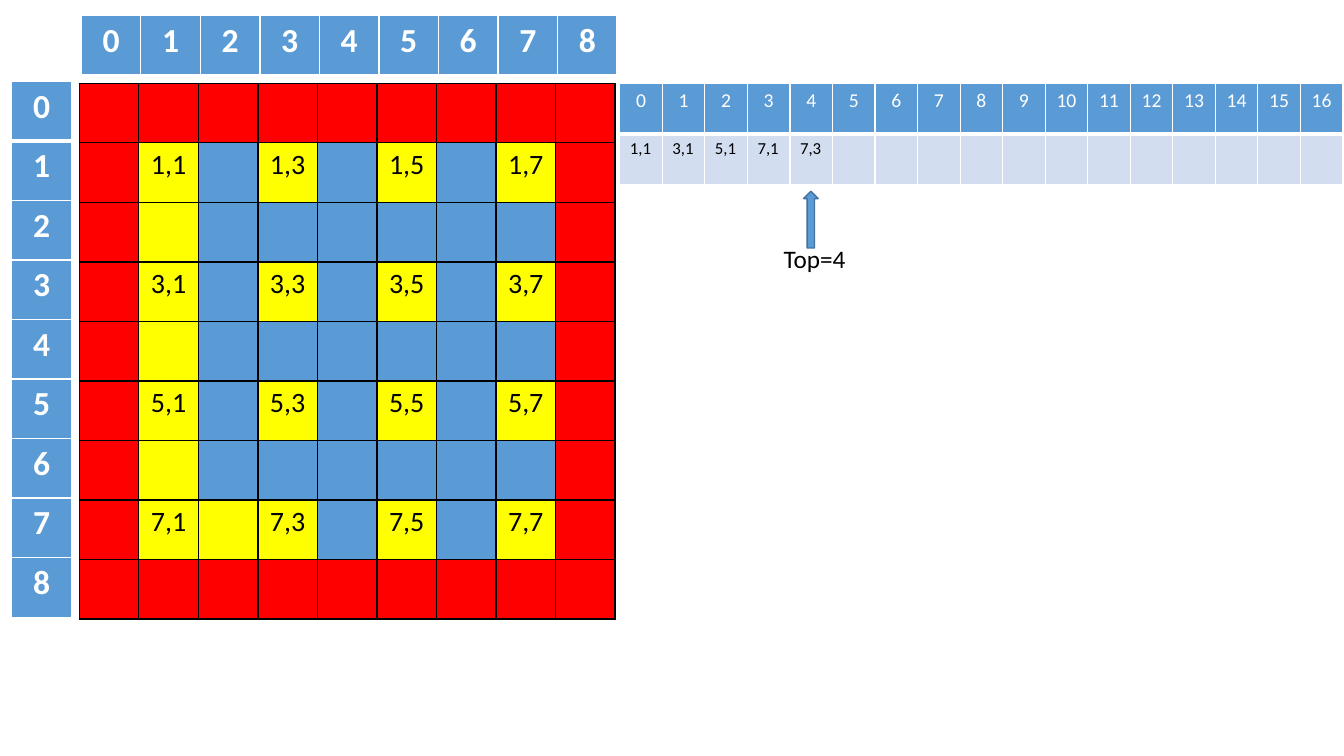
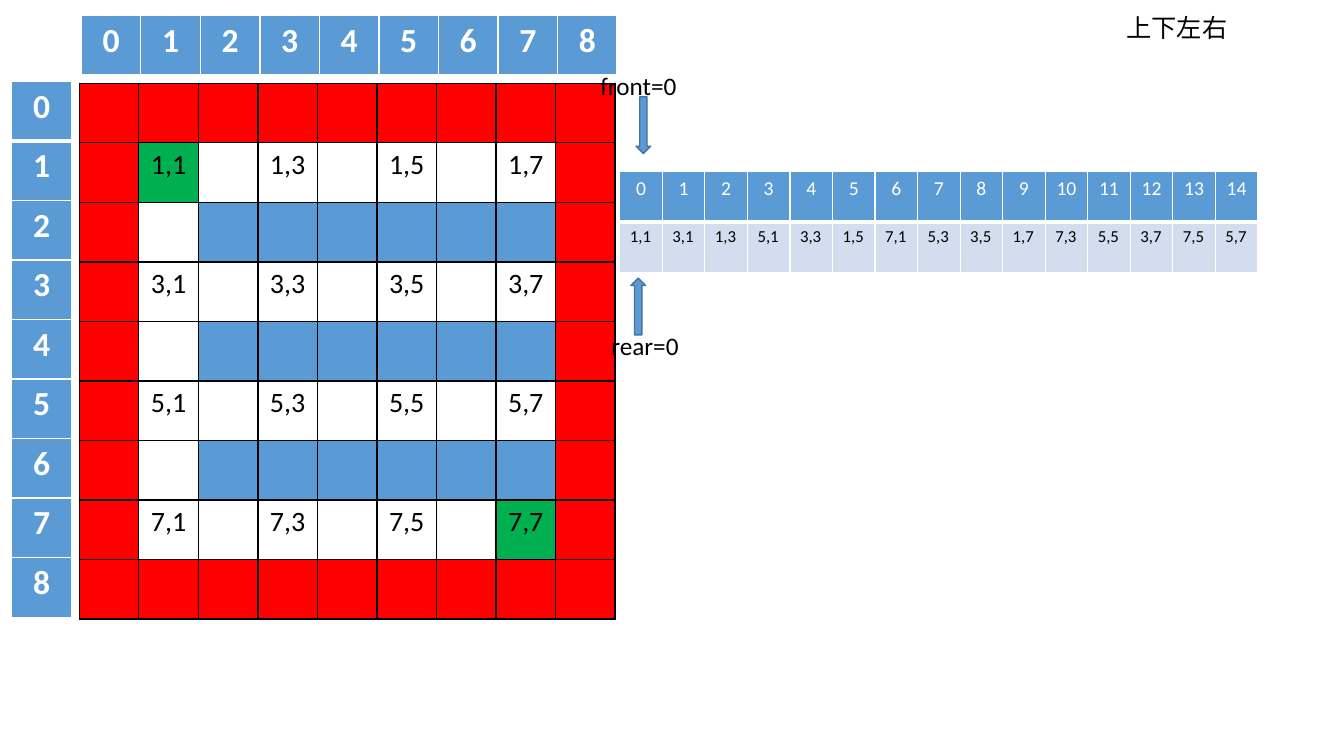
from lxml.etree import SubElement
from pptx import Presentation
from pptx.dml.color import RGBColor
from pptx.enum.shapes import MSO_SHAPE
from pptx.enum.text import MSO_AUTO_SIZE, PP_ALIGN
from pptx.oxml.ns import qn
from pptx.util import Cm, Pt

FONT = "Calibri"
RED = RGBColor(0xFF, 0x00, 0x00)
YELLOW = RGBColor(0xFF, 0xFF, 0x00)
GREEN = RGBColor(0x00, 0xB0, 0x50)
BLUE = RGBColor(0x5B, 0x9B, 0xD5)
DARK_BLUE = RGBColor(0x43, 0x73, 0x9E)
PALE_BLUE = RGBColor(0xD2, 0xDE, 0xEF)
WHITE = RGBColor(0xFF, 0xFF, 0xFF)
BLACK = RGBColor(0x00, 0x00, 0x00)
FILLS = {"R": RED, "Y": YELLOW, "G": GREEN, "B": BLUE, ".": None}

GRID_SIZE = 9
SQUARE = 1.5
STRIP_LEFT = 15.62
STRIP_COLUMN = 18.24 / 17
STRIP_ROW = 1.27

WALL = "RRRRRRRRR"
STACK_MAZE = [
    WALL,
    "RYBYBYBYR",
    "RYBBBBBBR",
    "RYBYBYBYR",
    "RYBBBBBBR",
    "RYBYBYBYR",
    "RYBBBBBBR",
    "RYYYBYBYR",
    WALL,
]
QUEUE_MAZE = [
    WALL,
    "RG......R",
    "R.BBBBBBR",
    "R.......R",
    "R.BBBBBBR",
    "R.......R",
    "R.BBBBBBR",
    "R......GR",
    WALL,
]

# Pointers: arrow shape, arrow left and top, label, label left, top and width
SLIDES = [
    {
        "maze": STACK_MAZE,
        "strip_top": 2.1,
        "strip_length": 17,
        "visited": ["1,1", "3,1", "5,1", "7,1", "7,3"],
        "pointers": [
            (MSO_SHAPE.UP_ARROW, 20.25, 4.82, "Top=4", 19.5, 6.0, 2.08),
        ],
        "notes": [],
    },
    {
        "maze": QUEUE_MAZE,
        "strip_top": 4.32,
        "strip_length": 15,
        "visited": ["1,1", "3,1", "1,3", "5,1", "3,3", "1,5", "7,1", "5,3",
                    "3,5", "1,7", "7,3", "5,5", "3,7", "7,5", "5,7"],
        "pointers": [
            (MSO_SHAPE.DOWN_ARROW, 16.03, 2.44, "front=0", 14.88, 1.65, 2.46),
            (MSO_SHAPE.UP_ARROW, 15.9, 7.01, "rear=0", 15.16, 8.2, 2.24),
        ],
        "notes": [("上下左右", 28.14, 0.18, 3.07)],
    },
]


def add_grid(slide, left, top, column_width, row_height, rows, border):
    """Add a table; each cell is (text, fill, size, colour, bold, alignment).

    The line below the first row is thick when the border is white.
    """
    column_count = len(rows[0])
    table = slide.shapes.add_table(
        len(rows), column_count, Cm(left), Cm(top),
        Cm(column_width * column_count), Cm(row_height * len(rows))).table
    table.horz_banding = False
    for column in table.columns:
        column.width = Cm(column_width)
    for row_index, row in enumerate(rows):
        table.rows[row_index].height = Cm(row_height)
        for column_index, (text, fill, size, colour, bold, alignment) in enumerate(row):
            cell = table.cell(row_index, column_index)
            properties = cell._tc.get_or_add_tcPr()
            for side in ("lnL", "lnR", "lnT", "lnB"):
                below_header = (row_index, side) in ((0, "lnB"), (1, "lnT"))
                width = Pt(3) if border == WHITE and below_header else Pt(1)
                line = SubElement(properties, qn(f"a:{side}"), w=str(width))
                line_fill = SubElement(line, qn("a:solidFill"))
                SubElement(line_fill, qn("a:srgbClr"), val=str(border))
            if fill is None:
                cell.fill.background()
            else:
                cell.fill.solid()
                cell.fill.fore_color.rgb = fill
            if text:
                paragraph = cell.text_frame.paragraphs[0]
                paragraph.alignment = alignment
                # Run fonts take precedence over the table style
                run = paragraph.add_run()
                run.text = text
                run.font.name = FONT
                run.font.size = Pt(size)
                run.font.bold = bold
                run.font.color.rgb = colour


def add_label(shapes, text, left, top, width):
    label = shapes.add_textbox(Cm(left), Cm(top), Cm(width), Cm(1.02))
    label.text_frame.word_wrap = False
    label.text_frame.auto_size = MSO_AUTO_SIZE.SHAPE_TO_FIT_TEXT
    paragraph = label.text_frame.paragraphs[0]
    paragraph.text = text
    paragraph.font.name = FONT
    paragraph.font.size = Pt(18)
    paragraph.font.color.rgb = BLACK


presentation = Presentation()
presentation.slide_width = Cm(33.87)
presentation.slide_height = Cm(19.05)
blank_layout = presentation.slide_layouts[6]

index_cells = [(str(index), BLUE, 24, WHITE, True, PP_ALIGN.CENTER)
               for index in range(GRID_SIZE)]

for content in SLIDES:
    slide = presentation.slides.add_slide(blank_layout)

    maze_rows = []
    for row, codes in enumerate(content["maze"]):
        maze_rows.append([])
        for column, code in enumerate(codes):
            text = f"{row},{column}" if row % 2 and column % 2 else ""
            maze_rows[row].append((text, FILLS[code], 20, BLACK, False, PP_ALIGN.CENTER))
    add_grid(slide, 2, 2.1, SQUARE, SQUARE, maze_rows, BLACK)
    add_grid(slide, 2.05, 0.4, SQUARE, SQUARE, [index_cells], WHITE)
    add_grid(slide, 0.3, 2.05, SQUARE, SQUARE, [[cell] for cell in index_cells], WHITE)

    length = content["strip_length"]
    visited = content["visited"] + [""] * (length - len(content["visited"]))
    strip_rows = [
        [(str(index), BLUE, 14, WHITE, False, PP_ALIGN.CENTER) for index in range(length)],
        [(text, PALE_BLUE, 12, BLACK, False, PP_ALIGN.LEFT) for text in visited],
    ]
    add_grid(slide, STRIP_LEFT, content["strip_top"], STRIP_COLUMN, STRIP_ROW,
             strip_rows, WHITE)

    for arrow_kind, arrow_left, arrow_top, *label in content["pointers"]:
        pointer = slide.shapes.add_group_shape()
        arrow = pointer.shapes.add_shape(
            arrow_kind, Cm(arrow_left), Cm(arrow_top), Cm(0.37), Cm(1.43))
        arrow.shadow.inherit = False
        arrow.fill.solid()
        arrow.fill.fore_color.rgb = BLUE
        arrow.line.color.rgb = DARK_BLUE
        arrow.line.width = Pt(1)
        add_label(pointer.shapes, *label)

    for note in content["notes"]:
        add_label(slide.shapes, *note)

presentation.save("out.pptx")
